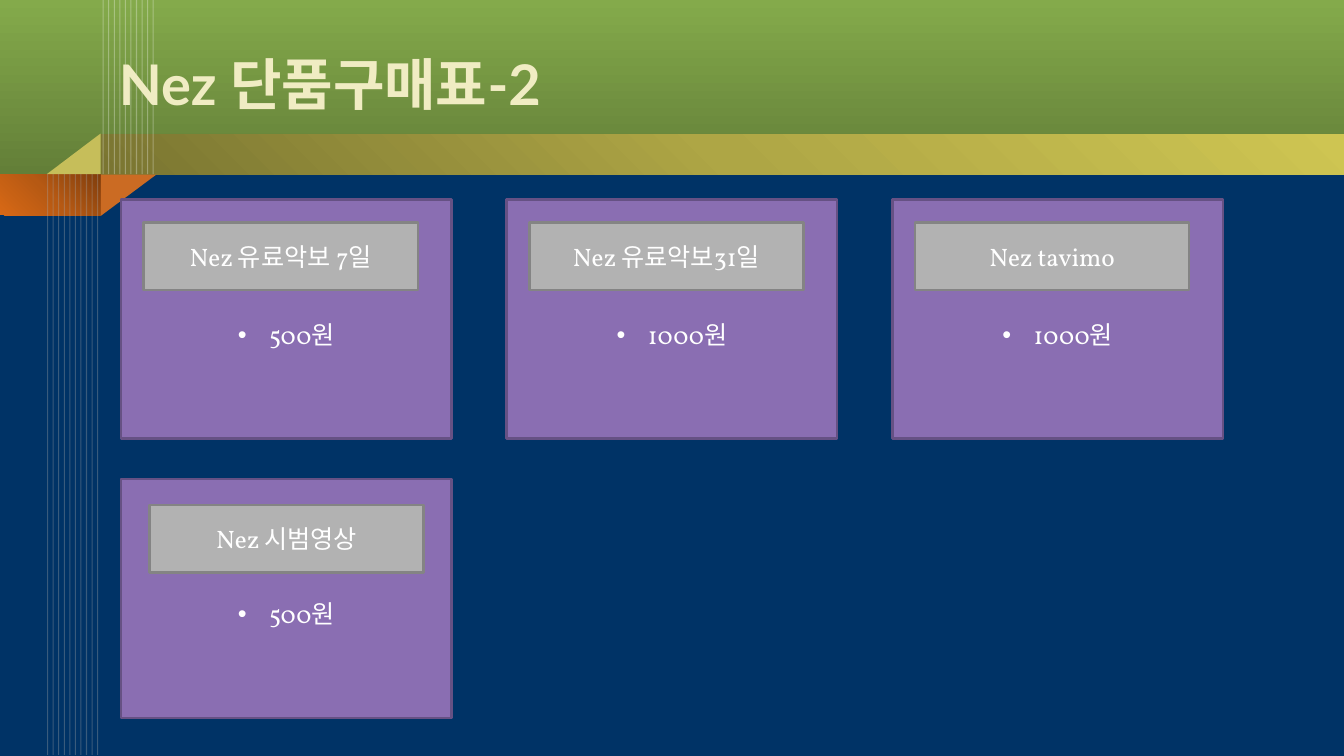
from dataclasses import dataclass

from lxml import etree
from pptx import Presentation
from pptx import util as u
from pptx.dml.color import RGBColor
from pptx.enum import shapes, text
from pptx.oxml import parse_xml
from pptx.oxml.ns import nsdecls, qn

COLOURS = {
    "navy": "003366", "green": "84AA4B", "dark_green": "637F38",
    "olive": "7A7531", "khaki": "AEA645", "gold": "CEC552",
    "brown": "803E0D", "rust": "B65913", "orange": "D86916",
    "rust_fold": "CB6B23", "gold_fold": "C6BE5A", "cream": "F0ECC3",
    "purple": "8A6EB2", "dark_purple": "665184",
    "grey": "B2B2B2", "dark_grey": "848484", "pale_grey": "A6A6A6",
    "white": "FFFFFF",
}
LINEAR = '<a:lin ang="{}" scaled="0"/>'
TOP_RIGHT = '<a:path path="circle"><a:fillToRect l="100000" b="100000"/></a:path>'


@dataclass
class Area:
    left: float
    top: float
    width: float
    height: float

    def lengths(self) -> list:
        return [u.Cm(n) for n in (self.left, self.top, self.width, self.height)]


@dataclass
class Band:
    area: Area
    stops: list[str]
    direction: str


@dataclass
class Fold:
    area: Area
    colour: str
    rotation: int


@dataclass
class Stripes:
    left: float
    top: float
    bottom: float
    colour: str
    opacity: int


@dataclass
class Product:
    name: str
    price: str
    column: int
    row: int
    label_dx: float = 0.57
    label_dy: float = 0.58


BANDS = [
    Band(Area(0, 0, 33.87, 4.39), ["green", "dark_green"], LINEAR.format(90 * 60000)),
    Band(Area(2.54, 3.38, 31.33, 1.02), ["olive", "khaki", "gold"],
         LINEAR.format(315 * 60000)),
    Band(Area(0, 4.39, 2.54, 1.04), ["brown", "rust", "orange"], TOP_RIGHT),
]
FOLDS = [
    Fold(Area(2.72, 4.22, 1.04, 1.4), "rust_fold", 90),
    Fold(Area(1.35, 3.2, 1.02, 1.35), "gold_fold", 270),
]
STRIPES = [
    Stripes(2.6, 0, 4.39, "white", 30),
    Stripes(1.2, 4.39, 19.02, "pale_grey", 35),
]
STRIPE_COUNT, STRIPE_STEP = 10, 0.14
PRODUCTS = [
    Product("Nez 유료악보 7일", "500원", 0, 0),
    Product("Nez 유료악보31일", "1000원", 1, 0),
    Product("Nez tavimo", "1000원", 2, 0),
    Product("Nez 시범영상", "500원", 0, 1, 0.72, 0.66),
]
CARD = Area(3.05, 5.03, 8.33, 6.02)
COLUMN_STEP, ROW_STEP = 9.72, 7.04
LABEL_WIDTH, LABEL_HEIGHT = 6.91, 1.7


def rgb(name: str) -> RGBColor:
    return RGBColor.from_string(COLOURS[name])


def apply(target, values: dict) -> None:
    for key, value in values.items():
        setattr(target, key, value)


def add_box(page, area: Area, fill: str, kind=shapes.MSO_SHAPE.RECTANGLE,
            line: str | None = None):
    box = page.shapes.add_shape(kind, *area.lengths())
    box.shadow.inherit = False
    box.fill.solid()
    box.fill.fore_color.rgb = rgb(fill)
    if line:
        box.line.color.rgb = rgb(line)
        box.line.width = u.Pt(1.75)
    else:
        box.line.fill.background()
    return box


def add_band(page, band: Band) -> None:
    box = add_box(page, band.area, band.stops[0])
    last = len(band.stops) - 1
    stops = "".join(
        f'<a:gs pos="{100000 * i // last}"><a:srgbClr val="{COLOURS[name]}"/></a:gs>'
        for i, name in enumerate(band.stops))
    gradient = parse_xml(f'<a:gradFill {nsdecls("a")} rotWithShape="1">'
                         f'<a:gsLst>{stops}</a:gsLst>{band.direction}</a:gradFill>')
    properties = box.element.spPr
    properties.replace(properties.find(qn("a:solidFill")), gradient)


def add_stripes(page, stripes: Stripes) -> None:
    for i in range(STRIPE_COUNT):
        x = u.Cm(stripes.left + i * STRIPE_STEP)
        stripe = page.shapes.add_connector(
            shapes.MSO_CONNECTOR.STRAIGHT, x, u.Cm(stripes.top), x, u.Cm(stripes.bottom))
        stripe.line.color.rgb = rgb(stripes.colour)
        stripe.line.width = u.Pt(0.75)
        properties = stripe.element.spPr
        colour = properties.find(".//" + qn("a:srgbClr"))
        etree.SubElement(colour, qn("a:alpha"), val=str(stripes.opacity * 1000))
        etree.SubElement(properties, qn("a:effectLst"))


def write(box, words: str, align, font: dict, colour: str):
    apply(box.text_frame, {"word_wrap": True,
                           "auto_size": text.MSO_AUTO_SIZE.NONE,
                           "vertical_anchor": text.MSO_ANCHOR.MIDDLE})
    para = box.text_frame.paragraphs[0]
    para.alignment = align
    span = para.add_run()
    span.text = words
    apply(span.font, font)
    span.font.color.rgb = rgb(colour)
    return para


def add_product(page, product: Product) -> None:
    font = {"name": "Vollkorn", "size": u.Pt(18)}
    left = CARD.left + product.column * COLUMN_STEP
    top = CARD.top + product.row * ROW_STEP

    # Card with the bulleted price
    card = add_box(page, Area(left, top, CARD.width, CARD.height), "purple",
                   line="dark_purple")
    para = write(card, product.price, text.PP_ALIGN.CENTER, font, "white")
    card.text_frame.margin_top = u.Cm(0.9)
    settings = para._p.get_or_add_pPr()
    indent = u.Cm(0.79)
    settings.set("marL", str(indent))
    settings.set("indent", str(-indent))
    etree.SubElement(settings, qn("a:buFont"), typeface="Arial")
    etree.SubElement(settings, qn("a:buChar"), char="•")

    # Name label
    area = Area(left + product.label_dx, top + product.label_dy,
                LABEL_WIDTH, LABEL_HEIGHT)
    label = add_box(page, area, "grey", line="dark_grey")
    write(label, product.name, text.PP_ALIGN.CENTER, font, "white")


def add_title(page) -> None:
    title = page.shapes.title
    names = ("left", "top", "width", "height")
    apply(title, dict(zip(names, Area(2.74, 0.51, 28.37, 3.18).lengths())))
    write(title, "Nez 단품구매표-2", text.PP_ALIGN.LEFT,
          {"name": "Lato", "size": u.Pt(40), "bold": True}, "cream")
    # Bring the title in front of the ribbon
    title.element.getparent().append(title.element)


def main() -> None:
    deck = Presentation()
    apply(deck, {"slide_width": u.Cm(33.87), "slide_height": u.Cm(19.05)})
    page = deck.slides.add_slide(deck.slide_layouts[5])
    page.background.fill.solid()
    page.background.fill.fore_color.rgb = rgb("navy")

    # Ribbon across the top
    for band in BANDS:
        add_band(page, band)
    for fold in FOLDS:
        box = add_box(page, fold.area, fold.colour, shapes.MSO_SHAPE.RIGHT_TRIANGLE)
        box.rotation = fold.rotation
    for stripes in STRIPES:
        add_stripes(page, stripes)

    # Title and price cards
    add_title(page)
    for product in PRODUCTS:
        add_product(page, product)
    deck.save("out.pptx")


if __name__ == "__main__":
    main()
